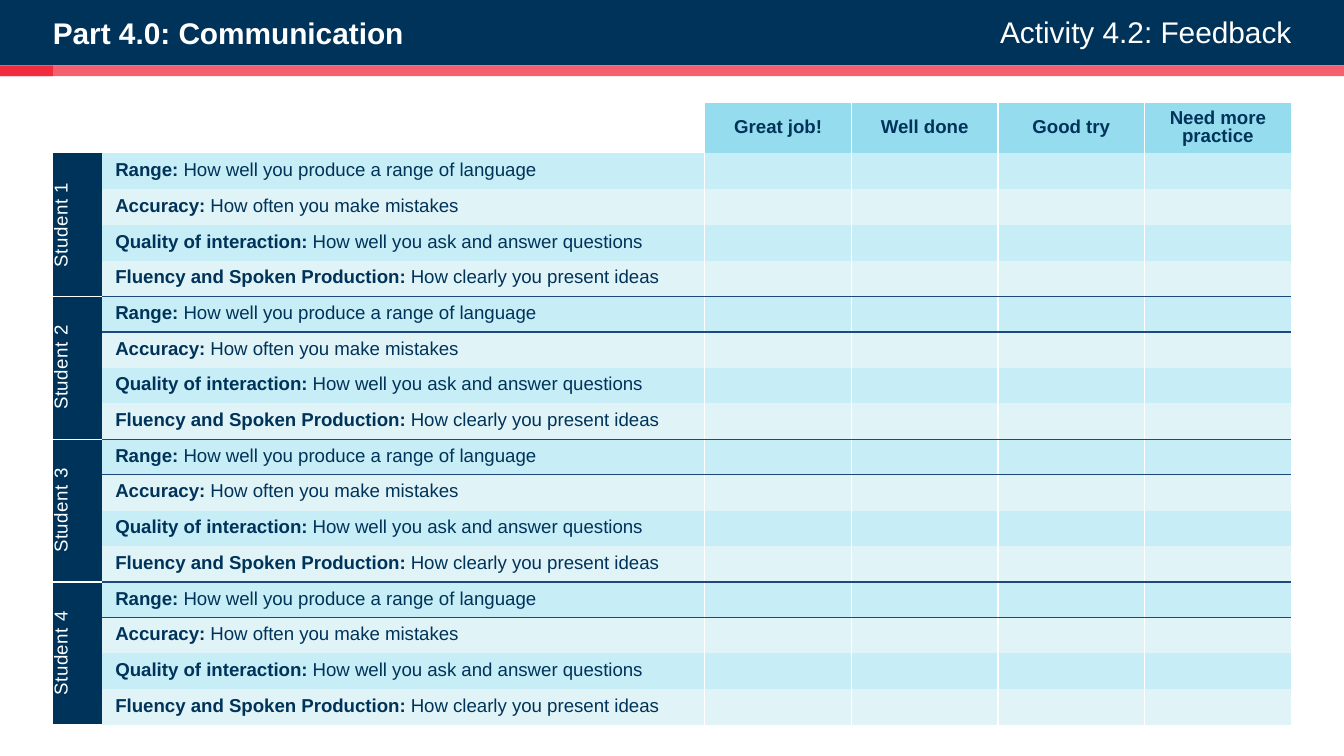
from lxml import etree
from pptx import Presentation
from pptx.dml.color import RGBColor
from pptx.enum.shapes import MSO_SHAPE
from pptx.enum.text import MSO_ANCHOR, MSO_AUTO_SIZE, PP_ALIGN
from pptx.oxml.ns import qn
from pptx.util import Cm, Pt

RECT = MSO_SHAPE.RECTANGLE
MID = MSO_ANCHOR.MIDDLE
GROW = MSO_AUTO_SIZE.SHAPE_TO_FIT_TEXT
LEFT, RIGHT, CENTER = PP_ALIGN.LEFT, PP_ALIGN.RIGHT, PP_ALIGN.CENTER

HEADS = ["Great job!", "Well done", "Good try", "Need more practice"]
NAMES = ["Student 1", "Student 2", "Student 3", "Student 4"]
SKILLS = [
    ("Range: ", "How well you produce a range of language"),
    ("Accuracy:", " How often you make mistakes"),
    ("Quality of interaction: ", "How well you ask and answer questions"),
    ("Fluency and Spoken Production: ", "How clearly you present ideas"),
]
TITLES = [
    ("Part 4.0: Communication", (1, 0.28, 14.35, 0.69), LEFT, True),
    ("Activity 4.2: Feedback", (15.42, 0.25, 8.99, 0.71), RIGHT, False),
]
THEME = {
    "font": "Arial", "title": 16, "body": 10, "line": 0.75,
    "navy": "003359", "white": "FFFFFF", "red": "F12C3E", "rule": "1F497D",
    "head": "95DCEE", "bands": ("C7EDF6", "E0F4F8"),
}
WIDE, TALL = 25.4, 14.29
GRID = (1, 1.95, 23.4, 11.76)
COLS = [0.93, 11.39] + [2.77] * len(HEADS)
TOP = 0.95
NO_STYLE = "{2D5ABB26-0587-4C30-8999-92F81FD0307C}"


def apply(item, values):
    for key, value in values.items():
        setattr(item, key, value)


def write(par, text, size, color, bold=False):
    run = par.add_run()
    run.text = text
    apply(run.font, {"name": THEME["font"], "size": Pt(size), "bold": bold})
    run.font.color.rgb = RGBColor.from_string(color)
    return run


def block(shapes, box, color):
    shape = shapes.add_shape(RECT, *map(Cm, box))
    shape.shadow.inherit = False
    shape.fill.solid()
    shape.fill.fore_color.rgb = RGBColor.from_string(color)
    shape.line.fill.background()
    return shape


def paint(cell, color):
    cell.fill.solid()
    cell.fill.fore_color.rgb = RGBColor.from_string(color)


def edge(cell, sides):
    props = cell._tc.get_or_add_tcPr()
    for spot, (side, color) in enumerate(sides):
        line = etree.Element(qn("a:ln" + side), w=str(Pt(THEME["line"])))
        fill = etree.SubElement(line, qn("a:solidFill"))
        etree.SubElement(fill, qn("a:srgbClr"), val=color)
        props.insert(spot, line)


def sides(row, col):
    white = THEME["white"]
    split = white if col == 0 else THEME["rule"]
    size, last = len(SKILLS), len(SKILLS) * len(NAMES)
    tests = [
        ("L", col > 1, white),
        ("R", 0 < col < len(COLS) - 1 and (row > 0 or col > 1), white),
        ("T", row > 1 and row % size == 1, split),
        ("B", 0 < row < last and (row % size == 0 or col == 0), split),
    ]
    return [(side, color) for side, test, color in tests if test]


def fill_grid(slide):
    count = len(NAMES) * len(SKILLS)
    frame = slide.shapes.add_table(count + 1, len(COLS), *map(Cm, GRID))
    table = frame.table
    apply(table, {"first_row": False, "horz_banding": False})
    table._tbl.tblPr.find(qn("a:tableStyleId")).text = NO_STYLE
    for col, width in zip(table.columns, COLS):
        col.width = Cm(width)
    for index, row in enumerate(table.rows):
        row.height = Cm((GRID[3] - TOP) / count if index else TOP)

    body, navy = THEME["body"], THEME["navy"]
    for row in range(count + 1):
        group, step = divmod(row - 1, len(SKILLS))
        for col in range(len(COLS)):
            cell = table.cell(row, col)
            apply(cell, {
                "vertical_anchor": MID, "margin_top": 0, "margin_bottom": 0,
                "margin_left": Cm(0.25), "margin_right": Cm(0.25),
            })
            par = cell.text_frame.paragraphs[0]
            apply(par, {"line_spacing": Pt(10), "alignment": LEFT if col == 1 else CENTER})
            if row == 0 and col > 1:
                paint(cell, THEME["head"])
                write(par, HEADS[col - 2], body, navy, True)
            elif row and col == 0:
                paint(cell, navy)
                if step == 0:
                    cell.merge(table.cell(row + len(SKILLS) - 1, 0))
                    cell._tc.get_or_add_tcPr().set("vert", "vert270")
                    run = write(par, NAMES[group], body, THEME["white"])
                    run.font._element.set("spc", "30")
            elif row:
                paint(cell, THEME["bands"][step % 2])
                if col == 1:
                    for text, bold in zip(SKILLS[step], (True, False)):
                        write(par, text, body, navy, bold)
            if not par.runs:
                etree.SubElement(par._p, qn("a:endParaRPr"), sz=str(body * 100))
            edge(cell, sides(row, col))


def main():
    deck = Presentation()
    apply(deck, {"slide_width": Cm(WIDE), "slide_height": Cm(TALL)})
    slide = deck.slides.add_slide(deck.slide_layouts[6])
    block(slide.shapes, (0, 0, WIDE, 1.24), THEME["navy"])
    for text, box, align, bold in TITLES:
        frame = slide.shapes.add_textbox(*map(Cm, box)).text_frame
        apply(frame, {
            "margin_left": 0, "margin_top": 0, "margin_right": 0,
            "margin_bottom": 0, "word_wrap": True,
        })
        if bold:
            frame.auto_size = GROW
        par = frame.paragraphs[0]
        par.alignment = align
        write(par, text, THEME["title"], THEME["white"], bold)
    fill_grid(slide)
    stripe = slide.shapes.add_group_shape().shapes
    pale = block(stripe, (0, 1.24, WIDE, 0.2), THEME["red"])
    tint = pale._element.spPr.find(qn("a:solidFill"))[0]
    etree.SubElement(tint, qn("a:alpha"), val="75000")
    block(stripe, (0, 1.24, 1, 0.2), THEME["red"])
    deck.save("out.pptx")


if __name__ == "__main__":
    main()
